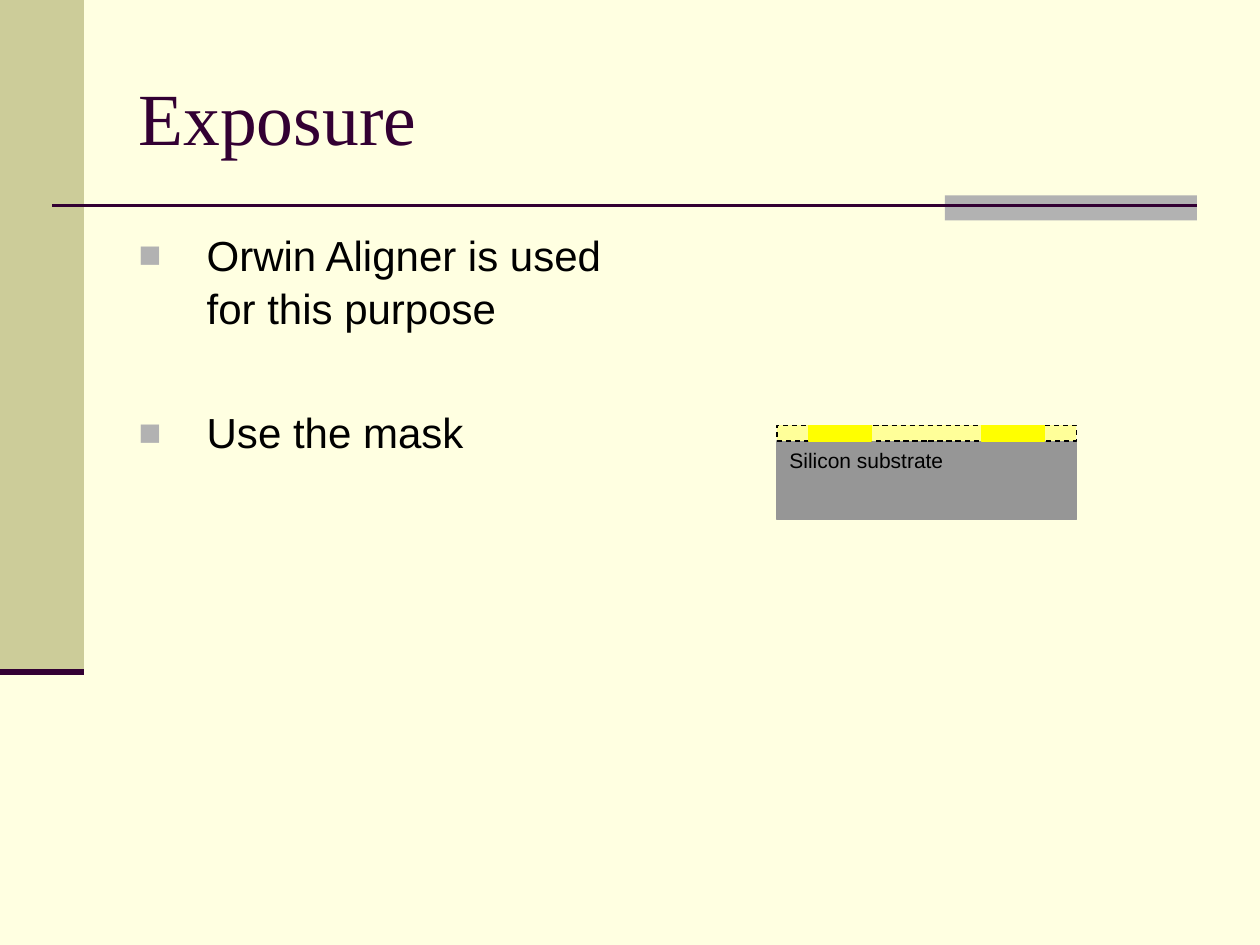
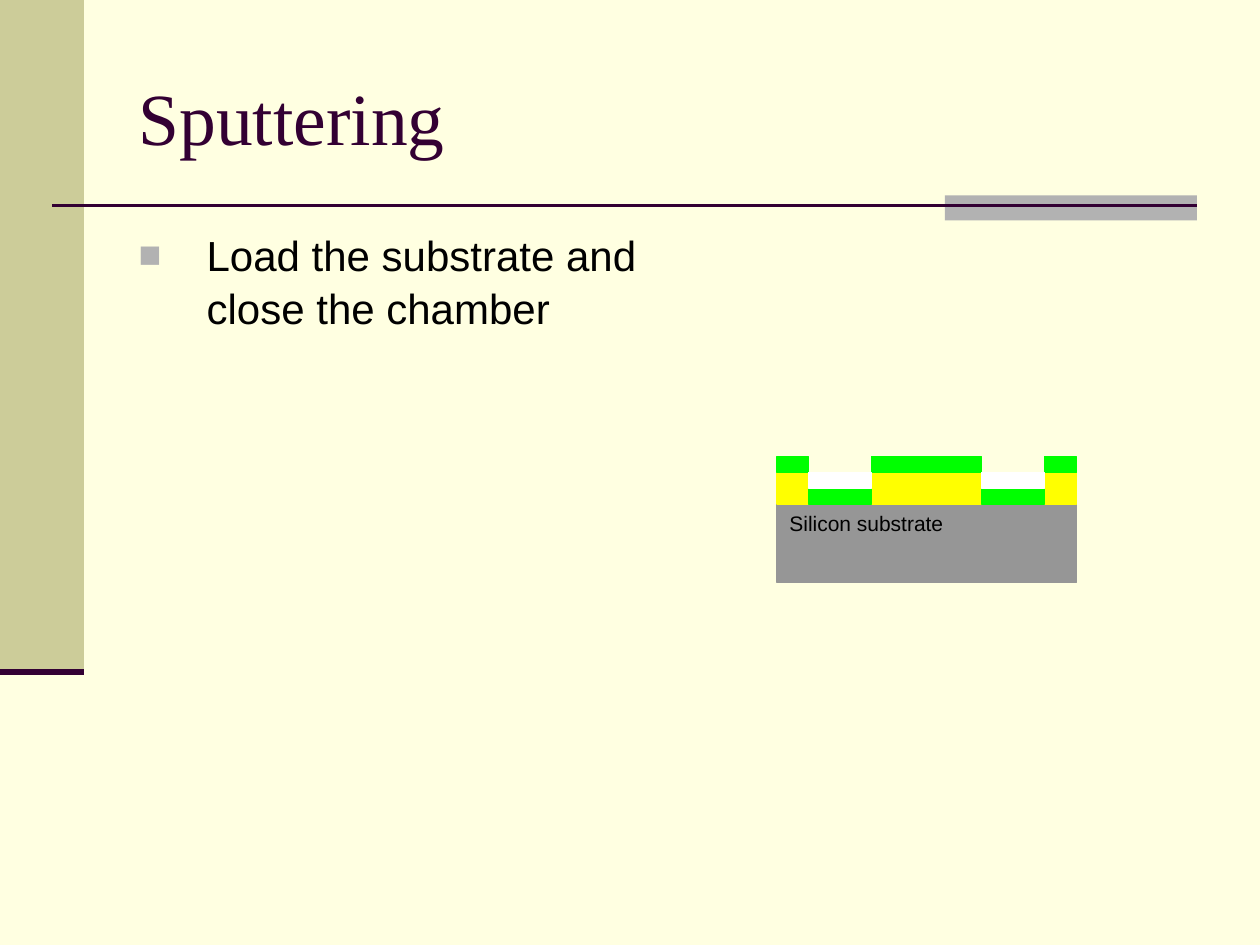
from dataclasses import dataclass
from itertools import accumulate

from lxml import etree
from pptx import Presentation
from pptx.dml.color import RGBColor
from pptx.enum.dml import MSO_LINE
from pptx.enum.shapes import MSO_CONNECTOR, MSO_SHAPE
from pptx.enum.text import MSO_ANCHOR, MSO_AUTO_SIZE, PP_ALIGN
from pptx.oxml.ns import qn
from pptx.util import Pt

RECTANGLE = MSO_SHAPE.RECTANGLE
STRAIGHT = MSO_CONNECTOR.STRAIGHT
DASH = MSO_LINE.DASH
LEFT = PP_ALIGN.LEFT
TOP, MIDDLE = MSO_ANCHOR.TOP, MSO_ANCHOR.MIDDLE
NO_AUTOFIT = MSO_AUTO_SIZE.NONE

CREAM, KHAKI, SILVER, PLUM = "FFFFE1", "CCCC99", "B2B2B2", "330033"
BLACK, WHITE, SILICON = "000000", "FFFFFF", "969696"
MASKED_RESIST, RESIST, METAL = "FFFF99", "FFFF00", "00FF00"
SERIF, SANS = "Times New Roman", "Arial"

# The cross-section: edge, opening, middle, opening, edge
STACK_LEFT = 444
ZONE_WIDTHS = [18, 36, 63, 36, 18]
ZONE_EDGES = list(accumulate(ZONE_WIDTHS, initial=STACK_LEFT))
ALL_ZONES = (0, 4)
OPENINGS = [(1, 1), (3, 3)]
RIDGES = [(0, 0), (2, 2), (4, 4)]
LAYER = 9
SUBSTRATE_HEIGHT = 45

BULLET_INDENT = 38.88
BULLET_GAP = 41


@dataclass
class Box:
    left: float
    top: float
    width: float
    height: float
    fill: str = WHITE
    line: str | None = None
    dashed: bool = False


@dataclass
class Rule:
    left: float
    right: float
    y: float
    weight: float


@dataclass
class Film:
    """A film over zones, with base and thickness counted in layers."""
    zones: list[tuple[int, int]]
    base: int
    thickness: int
    fill: str
    line: str
    dashed: bool = False


@dataclass
class ProcessStep:
    title: str
    bullets: list[str]
    substrate_top: float
    films: list[Film]


TITLE_AREA = Box(72, 21.6, 612, 90)
BODY_AREA = Box(72, 126, 300.24, 356.4)
MASTER_DECOR = [
    Box(0, 0, 48, 384, KHAKI),
    Box(540, 111.6, 144, 14.4, SILVER),
    Rule(30, 684, 117.5, 1.5),
    Rule(0, 48, 384, 3.5),
]

STEPS = [
    ProcessStep(
        "Exposure",
        ["Orwin Aligner is used for this purpose", "Use the mask"],
        252,
        [Film([ALL_ZONES], 0, 1, MASKED_RESIST, BLACK, dashed=True),
         Film(OPENINGS, 0, 1, RESIST, RESIST)],
    ),
    ProcessStep(
        "Sputtering",
        ["Load the substrate and close the chamber"],
        288,
        [Film([ALL_ZONES], 0, 2, RESIST, RESIST),
         Film(RIDGES, 2, 1, METAL, METAL),
         Film(OPENINGS, 0, 1, METAL, METAL),
         Film(OPENINGS, 1, 1, WHITE, WHITE)],
    ),
]


def color(value: str) -> RGBColor:
    return RGBColor.from_string(value)


def write(paragraph, text: str, *, size: float, font: str = SANS,
          ink: str = BLACK) -> None:
    paragraph.alignment = LEFT
    run = paragraph.add_run()
    run.text = text
    run.font.size = Pt(size)
    run.font.name = font
    run.font.color.rgb = color(ink)


def set_frame(shape, anchor) -> None:
    """Fix a text frame's wrapping, anchor and margins."""
    frame = shape.text_frame
    frame.word_wrap = True
    frame.auto_size = NO_AUTOFIT
    frame.vertical_anchor = anchor
    frame.margin_left = frame.margin_right = Pt(7.2)
    frame.margin_top = frame.margin_bottom = Pt(3.6)


def place(shape, area: Box) -> None:
    shape.left, shape.top = Pt(area.left), Pt(area.top)
    shape.width, shape.height = Pt(area.width), Pt(area.height)


def draw_box(slide, box: Box):
    shape = slide.shapes.add_shape(RECTANGLE, Pt(box.left), Pt(box.top),
                                   Pt(box.width), Pt(box.height))
    shape.shadow.inherit = False
    shape.fill.solid()
    shape.fill.fore_color.rgb = color(box.fill)
    if box.line is None:
        shape.line.fill.background()
    else:
        shape.line.color.rgb = color(box.line)
        shape.line.width = Pt(0.75)
    if box.dashed:
        shape.line.dash_style = DASH
    return shape


def draw_rule(slide, rule: Rule):
    connector = slide.shapes.add_connector(STRAIGHT, Pt(rule.left), Pt(rule.y),
                                           Pt(rule.right), Pt(rule.y))
    connector.line.color.rgb = color(PLUM)
    connector.line.width = Pt(rule.weight)
    etree.SubElement(connector.element.spPr, qn("a:effectLst"))
    return connector


def set_up_master(prs, layout) -> None:
    """Give the master its background and decor, and the layout its areas."""
    background = prs.slide_master.background.fill
    background.solid()
    background.fore_color.rgb = color(CREAM)
    for placeholder, area in zip(layout.placeholders, (TITLE_AREA, BODY_AREA)):
        place(placeholder, area)


def move_decor_to_master(prs, slide) -> None:
    """Draw the shared decor and move it behind the master's placeholders."""
    tree = prs.slide_master.shapes.element
    for order, item in enumerate(MASTER_DECOR):
        draw = draw_box if isinstance(item, Box) else draw_rule
        element = draw(slide, item).element
        element.xpath("./*/p:cNvPr")[0].set("id", str(20 + order))
        tree.insert(2 + order, element)


def add_bullet(paragraph) -> None:
    properties = paragraph._p.get_or_add_pPr()
    properties.set("marL", str(Pt(BULLET_INDENT)))
    properties.set("indent", str(-Pt(BULLET_INDENT)))
    bullet_color = etree.SubElement(properties, qn("a:buClr"))
    etree.SubElement(bullet_color, qn("a:srgbClr"), val=SILVER)
    etree.SubElement(properties, qn("a:buSzPct"), val="90000")
    etree.SubElement(properties, qn("a:buFont"), typeface=SANS)
    etree.SubElement(properties, qn("a:buChar"), char="■")


def fill_body(body, bullets: list[str]) -> None:
    set_frame(body, TOP)
    for index, text in enumerate(bullets):
        frame = body.text_frame
        paragraph = frame.add_paragraph() if index else frame.paragraphs[0]
        add_bullet(paragraph)
        paragraph.space_before = Pt(BULLET_GAP if index else 0)
        paragraph.line_spacing = 1.05
        write(paragraph, text, size=24)


def draw_film(slide, film: Film, substrate_top: float) -> None:
    top = substrate_top - (film.base + film.thickness) * LAYER
    for first, last in film.zones:
        left, right = ZONE_EDGES[first], ZONE_EDGES[last + 1]
        draw_box(slide, Box(left, top, right - left, film.thickness * LAYER,
                            film.fill, film.line, film.dashed))


def draw_cross_section(slide, step: ProcessStep) -> None:
    substrate = draw_box(slide, Box(STACK_LEFT, step.substrate_top,
                                    sum(ZONE_WIDTHS), SUBSTRATE_HEIGHT,
                                    SILICON, SILICON))
    set_frame(substrate, TOP)
    write(substrate.text_frame.paragraphs[0], "Silicon substrate", size=12)
    for film in step.films:
        draw_film(slide, film, step.substrate_top)


def add_step(prs, layout, step: ProcessStep):
    slide = prs.slides.add_slide(layout)
    title, body = slide.placeholders
    set_frame(title, MIDDLE)
    write(title.text_frame.paragraphs[0], step.title,
          size=42, font=SERIF, ink=PLUM)
    fill_body(body, step.bullets)
    draw_cross_section(slide, step)
    return slide


def main() -> None:
    prs = Presentation()
    prs.slide_width, prs.slide_height = Pt(720), Pt(540)
    layout = prs.slide_layouts[1]
    set_up_master(prs, layout)
    slides = [add_step(prs, layout, step) for step in STEPS]
    move_decor_to_master(prs, slides[0])
    prs.save("out.pptx")


if __name__ == "__main__":
    main()
